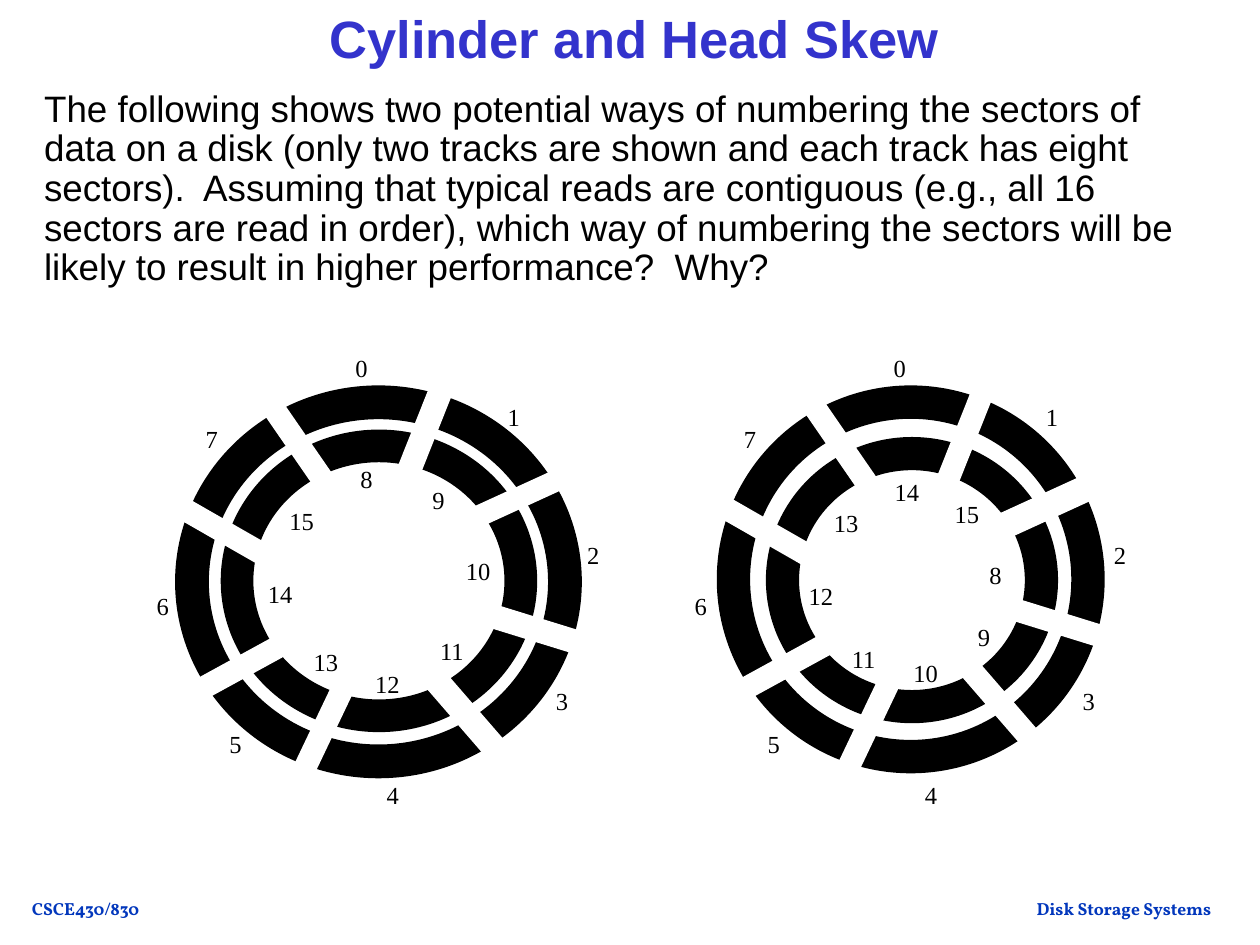
from pptx import Presentation
from pptx.dml.color import RGBColor
from pptx.enum.shapes import MSO_SHAPE as Kind
from pptx.enum.text import MSO_ANCHOR as Anchor, MSO_AUTO_SIZE as Auto, PP_ALIGN as Align
from pptx.util import Cm, Pt

BLACK = RGBColor(0x00, 0x00, 0x00)
WHITE = RGBColor(0xFF, 0xFF, 0xFF)
BLUE = RGBColor(0x33, 0x33, 0xCC)
NAVY = RGBColor(0x02, 0x37, 0xBC)

BODY = (
    "The following shows two potential ways of numbering the sectors of data on a disk "
    "(only two tracks are shown and each track has eight sectors).  Assuming that typical "
    "reads are contiguous (e.g., all 16 sectors are read in order), which way of numbering "
    "the sectors will be likely to result in higher performance?  Why?"
)
HEAD = {"name": "Arial", "size": Pt(30), "bold": True}
PLAIN = {"name": "Arial", "size": Pt(21)}
FOOT = {"name": "Vollkorn", "size": Pt(10), "bold": True}
LABEL = {"name": "Times New Roman", "size": Pt(14)}
TIGHT = {"alignment": Align.LEFT, "line_spacing": 0.9}
MID = {"alignment": Align.CENTER, "line_spacing": 0.9}
SOLO = {"alignment": Align.CENTER}
FIXED = {"word_wrap": True, "vertical_anchor": Anchor.MIDDLE}
GROW = {"word_wrap": False, "auto_size": Auto.SHAPE_TO_FIT_TEXT}
TAG = {**GROW, "vertical_anchor": Anchor.MIDDLE}

TURNS = (241.3, 299.8, 325.4, 245.4, 21.7, 25.5, 107.2, 139.1)
OUTER = [
    (7.29, 7.42), (10.36, 8.41), (11.96, 11.18), (11.33, 14.12),
    (7.92, 16.03), (4.75, 14.99), (3.28, 12.22), (4.27, 8.84),
]
SHIFT = (10.85, 10.85, 10.62, 10.62, 10.85, 10.85, 10.85, 10.85)
LEFT = {
    "skew": 0,
    "outer": OUTER,
    "inner": [
        (7.39, 9.65), (8.84, 10.08), (9.64, 11.51), (9.11, 13.11),
        (7.81, 13.79), (6.57, 13.33), (5.65, 11.96), (6.08, 10.49),
    ],
    "rings": [(3.53, 7.77, 8.2, 7.92, 0.086), (4.45, 8.66, 6.38, 6.1, 0.108)],
    "gaps": [
        (4.91, 13.42, 0.43, 1.85), (4.53, 10.73, 0.43, 1.85),
        (6.06, 9.02, 0.43, 1.83), (10.29, 10.11, 0.41, 2.24),
        (8.56, 8.7, 0.46, 2.11), (6.54, 14.66, 0.43, 1.93),
        (10.57, 12.62, 0.46, 2.29), (9.26, 14.26, 0.48, 2.16),
    ],
}
RIGHT = {
    "skew": 6,
    "outer": [(x + dx, y) for (x, y), dx in zip(OUTER, SHIFT)],
    "inner": [
        (18.28, 9.91), (19.49, 10.36), (20.07, 11.58), (19.84, 12.83),
        (18.66, 13.56), (17.41, 13.28), (16.55, 12.01), (17.06, 10.54),
    ],
    "rings": [(14.45, 7.77, 7.82, 7.82, 0.086), (15.44, 8.81, 5.89, 5.77, 0.116)],
    "gaps": [
        (15.86, 13.42, 0.43, 1.85), (15.48, 10.73, 0.43, 1.85),
        (16.98, 9.02, 0.43, 1.9), (21.03, 10.24, 0.51, 1.78),
        (19.44, 8.84, 0.43, 1.78), (17.49, 14.66, 0.43, 1.93),
        (21.3, 12.55, 0.43, 1.88), (20.13, 14.15, 0.43, 1.88),
    ],
}


def style(item, form):
    """Set each format value on the item."""
    for key, value in form.items():
        setattr(item, key, value)


def write(slide, text, box, font, color, para, frame):
    """Add a text box with one formatted run."""
    body = slide.shapes.add_textbox(*map(Cm, box)).text_frame
    style(body, frame)
    line = body.paragraphs[0]
    style(line, para)
    run = line.add_run()
    run.text = text
    style(run.font, font)
    run.font.color.rgb = color


def label(slide, num, spot):
    """Add a sector number centred on a spot."""
    x, y = spot
    wide, high = (1.04 if num > 9 else 0.78), 0.86
    box = (x - wide / 2, y - high / 2, wide, high)
    write(slide, str(num), box, LABEL, BLACK, SOLO, TAG)


def block(shapes, kind, box, color):
    """Add a flat filled shape."""
    part = shapes.add_shape(kind, *map(Cm, box))
    part.shadow.inherit = False
    part.fill.solid()
    part.fill.fore_color.rgb = color
    part.line.fill.background()
    return part


def ring(shapes, x, y, wide, high, band):
    """Add a track as a donut."""
    block(shapes, Kind.DONUT, (x, y, wide, high), BLACK).adjustments[0] = band


def gap(shapes, x, y, wide, high, turn):
    """Add a turned white bar that parts two sectors."""
    box = (x - wide / 2, y - high / 2, wide, high)
    bar = block(shapes, Kind.RECTANGLE, box, WHITE)
    bar.rotation = turn
    bar.line.color.rgb = WHITE
    bar.line.width = Pt(0)


def disk(slide, data):
    """Add the tracks and sector numbers of one disk."""
    shapes = slide.shapes.add_group_shape().shapes
    for track in data["rings"]:
        ring(shapes, *track)
    for bar, turn in zip(data["gaps"], TURNS):
        gap(shapes, *bar, turn)
    for i, (out, inn) in enumerate(zip(data["outer"], data["inner"])):
        label(slide, i, out)
        label(slide, 8 + (i + data["skew"]) % 8, inn)


def main():
    """Build and save the slide."""
    deck = Presentation()
    deck.slide_width, deck.slide_height = Cm(25.4), Cm(19.05)
    slide = deck.slides.add_slide(deck.slide_layouts[6])
    write(slide, "Disk Storage Systems", (20.52, 17.98, 4.27, 0.66), FOOT, NAVY, SOLO, GROW)
    write(slide, "CSCE430/830", (0.38, 17.98, 2.69, 0.66), FOOT, NAVY, SOLO, GROW)
    write(slide, BODY, (0.64, 1.27, 24.13, 5.11), PLAIN, BLACK, TIGHT, FIXED)
    write(slide, "Cylinder and Head Skew", (2.92, 0.2, 19.74, 1.27), HEAD, BLUE, MID, FIXED)
    for data in (LEFT, RIGHT):
        disk(slide, data)
    deck.save("out.pptx")


if __name__ == "__main__":
    main()
